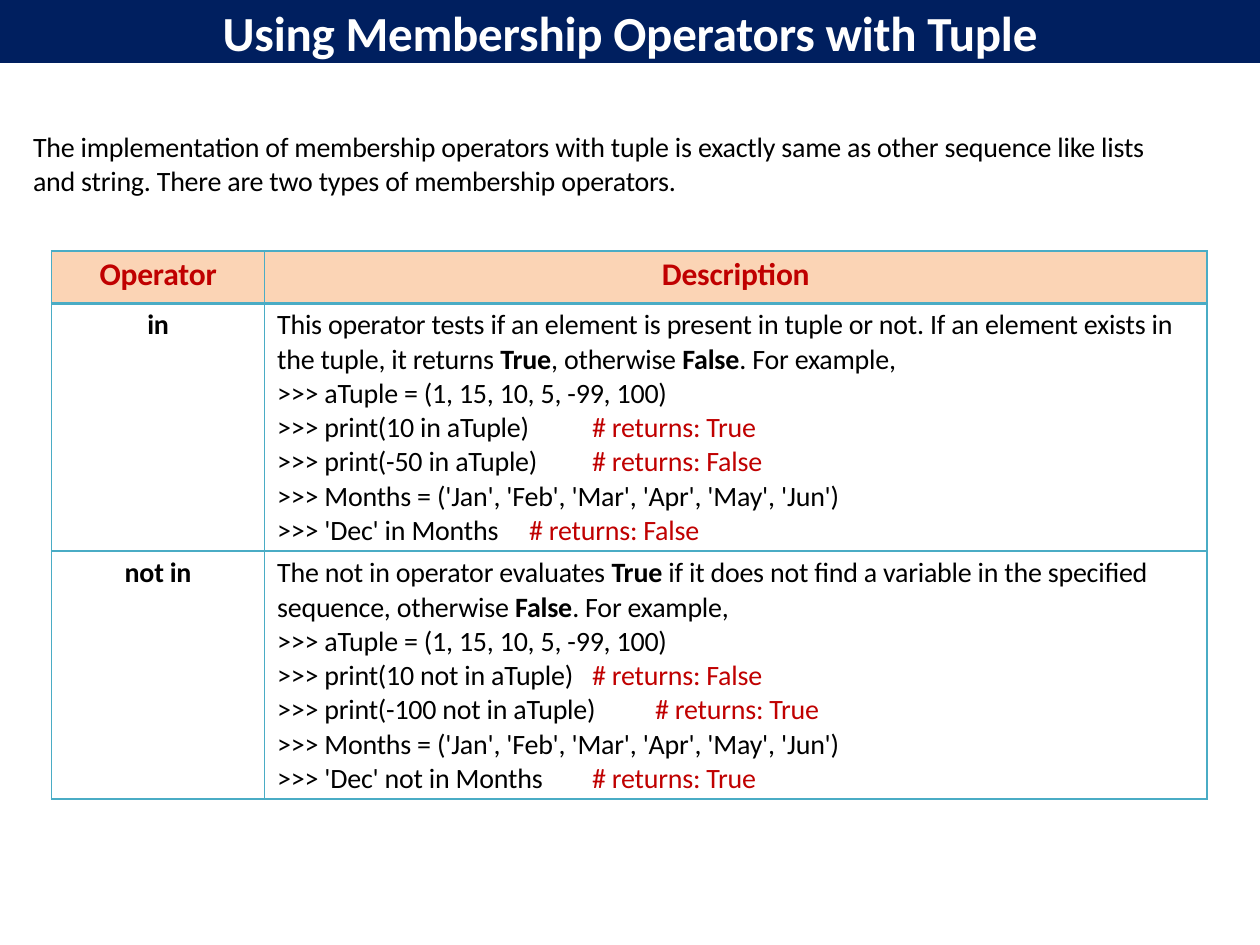
import pptx
import pptx.util
import pptx.dml.color
import pptx.enum.text
import pptx.oxml.ns
from dataclasses import dataclass
from lxml import etree

Pt = pptx.util.Pt
Align = pptx.enum.text.PP_ALIGN
Anchor = pptx.enum.text.MSO_ANCHOR


@dataclass(frozen=True)
class Theme:
    """Colours, font and type sizes of the slide."""
    font: str = "Calibri"
    navy: str = "001F5F"
    white: str = "FFFFFF"
    black: str = "000000"
    red: str = "C00000"
    peach: str = "FBD4B5"
    teal: str = "4AACC5"
    title_size: float = 28
    header_size: float = 18
    body_size: float = 16
    tracking: float = -0.1
    thin: float = 1
    thick: float = 2.25


THEME = Theme()
TITLE = "Using Membership Operators with Tuple"
INTRO = ("The implementation of membership operators with tuple is exactly same as other "
         "sequence like lists and string. There are two types of membership operators.")
HEADERS = ("Operator", "Description")
TUPLE_LINE = (">>> aTuple = (1, 15, 10, 5, -99, 100)",)
MONTHS_LINE = (">>> Months = ('Jan', 'Feb', 'Mar', 'Apr', 'May', 'Jun')",)
OPERATORS = (
    ("in",
     "This operator tests if an element is present in tuple or not. If an element exists in "
     "the tuple, it returns *True*, otherwise *False*. For example,",
     (TUPLE_LINE,
      (">>> print(10 in aTuple)", "# returns: True", 172),
      (">>> print(-50 in aTuple)", "# returns: False", 173.5),
      MONTHS_LINE,
      (">>> 'Dec' in Months", "# returns: False", 161.3))),
    ("not in",
     "The not in operator evaluates *True* if it does not find a variable in the specified "
     "sequence, otherwise *False*. For example,",
     (TUPLE_LINE,
      (">>> print(10 not in aTuple)", "# returns: False", 198),
      (">>> print(-100 not in aTuple)", "# returns: True", 207.4),
      MONTHS_LINE,
      (">>> 'Dec' not in Months", "# returns: True", 187.2))),
)


def set_all(target, formats):
    """Set every attribute named in formats on the target."""
    for name, value in formats.items():
        setattr(target, name, value)


def add_element(parent, tag, **attributes):
    """Append a DrawingML element and return it."""
    element = etree.SubElement(parent, pptx.oxml.ns.qn(tag))
    for name, value in attributes.items():
        element.set(name, str(value))
    return element


def rgb(colour):
    """Turn a hex string into a colour value."""
    return pptx.dml.color.RGBColor.from_string(colour)


def add_run(paragraph, text, size=THEME.body_size, colour=THEME.black, bold=False):
    """Append a formatted run to the paragraph."""
    run = paragraph.add_run()
    run.text = text
    set_all(run.font, {"name": THEME.font, "size": Pt(size), "bold": bold})
    run.font.color.rgb = rgb(colour)
    run.font._element.set("spc", str(round(THEME.tracking * 100)))


def format_paragraph(paragraph, before=0, indent=0, alignment=Align.LEFT, tab=None):
    """Set spacing, indent, alignment and an optional tab stop."""
    set_all(paragraph, {"space_before": Pt(before), "alignment": alignment})
    properties = paragraph._p.get_or_add_pPr()
    properties.set("marL", str(Pt(indent)))
    properties.set("indent", "0")
    if tab:
        stops = add_element(properties, "a:tabLst")
        add_element(stops, "a:tab", pos=Pt(tab), algn="l")


def format_frame(frame, top):
    """Remove the insets except the top one, and wrap the text."""
    set_all(frame, {"margin_left": 0, "margin_right": 0, "margin_bottom": 0,
                    "margin_top": Pt(top), "word_wrap": True,
                    "vertical_anchor": Anchor.TOP,
                    "auto_size": pptx.enum.text.MSO_AUTO_SIZE.NONE})


def place_title(slide, left, top, width, height):
    """Turn the title placeholder into a banner."""
    title = slide.shapes.title
    set_all(title, {"left": Pt(left), "top": Pt(top), "width": Pt(width), "height": Pt(height)})
    title.fill.solid()
    title.fill.fore_color.rgb = rgb(THEME.navy)
    format_frame(title.text_frame, 1.4)
    paragraph = title.text_frame.paragraphs[0]
    format_paragraph(paragraph, before=1.8, alignment=Align.CENTER)
    add_run(paragraph, TITLE, THEME.title_size, THEME.white, True)


def place_intro(slide, left, top, width, height):
    """Add the introductory sentence."""
    box = slide.shapes.add_textbox(Pt(left), Pt(top), Pt(width), Pt(height))
    format_frame(box.text_frame, 0.7)
    paragraph = box.text_frame.paragraphs[0]
    format_paragraph(paragraph, before=0.9, indent=0.9)
    add_run(paragraph, INTRO)


def format_cell(cell, top_line, bottom_line, fill=None):
    """Set the insets, borders and fill of a cell."""
    set_all(cell, {"margin_left": 0, "margin_right": 0, "margin_bottom": 0,
                   "margin_top": Pt(2.9), "vertical_anchor": Anchor.TOP})
    properties = cell._tc.get_or_add_tcPr()
    widths = {"a:lnL": THEME.thin, "a:lnR": THEME.thin, "a:lnT": top_line, "a:lnB": bottom_line}
    for tag, width in widths.items():
        line = add_element(properties, tag, w=Pt(width))
        add_element(add_element(line, "a:solidFill"), "a:srgbClr", val=THEME.teal)
    if fill:
        cell.fill.solid()
        cell.fill.fore_color.rgb = rgb(fill)
    else:
        cell.fill.background()


def write_label(cell, text, before, **run_format):
    """Write a bold centred label into a cell."""
    paragraph = cell.text_frame.paragraphs[0]
    format_paragraph(paragraph, before=before, alignment=Align.CENTER)
    add_run(paragraph, text, bold=True, **run_format)


def write_description(cell, description, examples):
    """Write a description with starred bold words, then its code lines."""
    paragraph = cell.text_frame.paragraphs[0]
    format_paragraph(paragraph, before=2.6, indent=7.2)
    for index, part in enumerate(description.split("*")):
        add_run(paragraph, part, bold=index % 2 == 1)
    for code, *comment in examples:
        paragraph = cell.text_frame.add_paragraph()
        format_paragraph(paragraph, indent=7.2, tab=comment[1] if comment else None)
        add_run(paragraph, code + ("\t" if comment else ""))
        if comment:
            add_run(paragraph, comment[0], colour=THEME.red)


def place_table(slide, left, top, width, height):
    """Add the table of operators."""
    header_height, label_width = 30, 121.7
    row_height = (height - header_height) / len(OPERATORS)
    table = slide.shapes.add_table(len(OPERATORS) + 1, len(HEADERS), Pt(left), Pt(top),
                                   Pt(width), Pt(height)).table
    set_all(table, {"first_row": False, "horz_banding": False})
    for column, size in zip(table.columns, (label_width, width - label_width)):
        column.width = Pt(size)
    for index, row in enumerate(table.rows):
        row.height = Pt(row_height if index else header_height)
    for cell, text in zip(table.rows[0].cells, HEADERS):
        format_cell(cell, THEME.thin, THEME.thick, THEME.peach)
        write_label(cell, text, 3, size=THEME.header_size, colour=THEME.red)
    for index, (operator, description, examples) in enumerate(OPERATORS, 1):
        for cell in table.rows[index].cells:
            format_cell(cell, THEME.thick if index == 1 else THEME.thin, THEME.thin)
        write_label(table.cell(index, 0), operator, 2.6)
        write_description(table.cell(index, 1), description, examples)


def build():
    """Build and save the presentation."""
    presentation = pptx.Presentation()
    set_all(presentation, {"slide_width": Pt(720), "slide_height": Pt(540)})
    slide = presentation.slides.add_slide(presentation.slide_layouts.get_by_name("Title Only"))
    place_title(slide, 0, 0, 720, 36)
    place_intro(slide, 18, 73.4, 655, 40.3)
    place_table(slide, 29.5, 143.3, 660.2, 313.4)
    presentation.save("out.pptx")


build()
